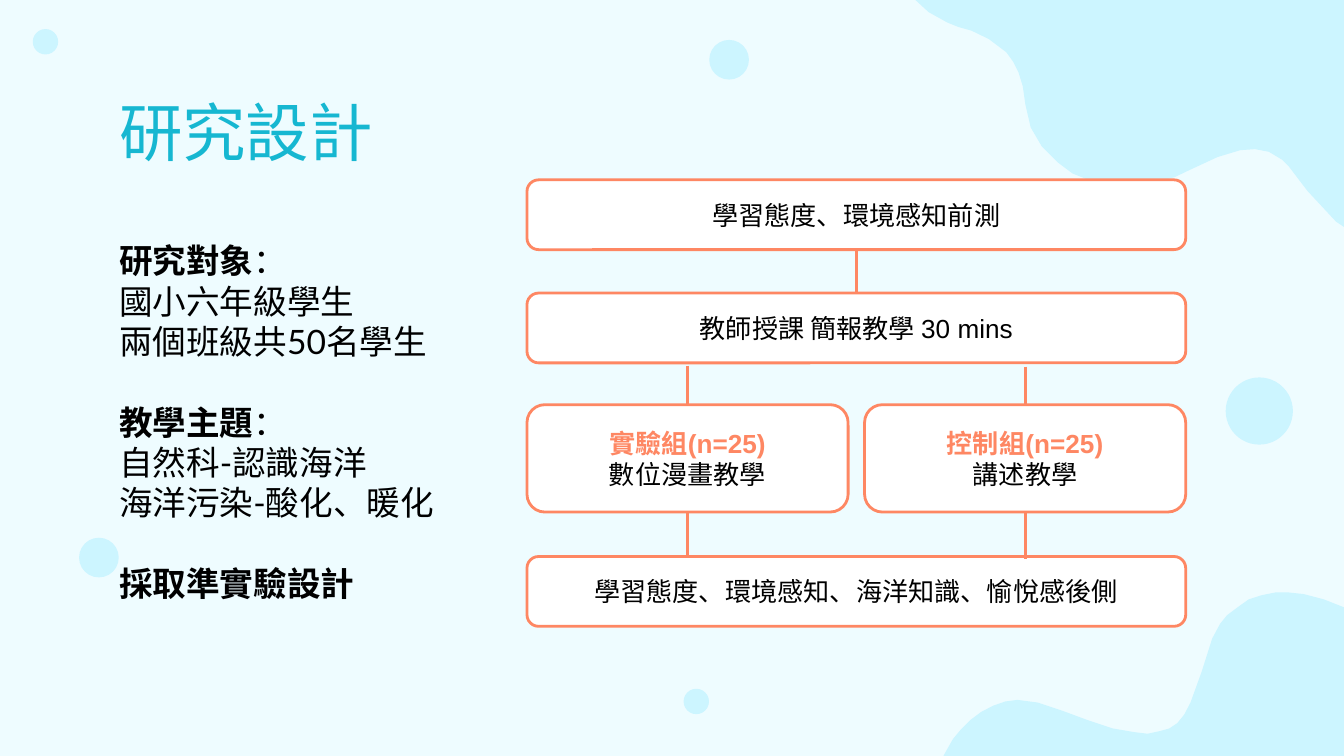
from dataclasses import dataclass

from lxml.etree import SubElement
from pptx import Presentation
from pptx.dml.color import RGBColor
from pptx.enum.shapes import MSO_CONNECTOR, MSO_SHAPE
from pptx.enum.text import MSO_ANCHOR, MSO_AUTO_SIZE, PP_ALIGN
from pptx.oxml.ns import qn
from pptx.shapes.autoshape import Shape
from pptx.slide import Slide
from pptx.text.text import TextFrame
from pptx.util import Cm, Pt

PALE_BLUE = RGBColor(0xEE, 0xFC, 0xFF)
WATER_BLUE = RGBColor(0xCC, 0xF5, 0xFF)
TITLE_BLUE = RGBColor(0x16, 0xB7, 0xD1)
CORAL = RGBColor(0xFE, 0x87, 0x63)
WHITE = RGBColor(0xFF, 0xFF, 0xFF)
BLACK = RGBColor(0x00, 0x00, 0x00)

SLIDE_WIDTH, SLIDE_HEIGHT = 25.4, 14.29
INSET = Cm(0.25)
OUTLINE = Pt(1.5)


@dataclass(frozen=True)
class Bubble:
    center_x: float
    center_y: float
    diameter: float


@dataclass(frozen=True)
class Step:
    left: float
    top: float
    width: float
    height: float
    text: str
    heading: str = ""


@dataclass(frozen=True)
class Link:
    x: float
    top: float
    bottom: float


@dataclass(frozen=True)
class Topic:
    heading: str
    lines: tuple[str, ...] = ()


# Outline points in hundredths of a centimetre
WAVES = (
    ((1730, 0), (1755, 23), (1791, 43), (1811, 51), (1836, 58), (1869, 74),
     (1902, 99), (1915, 117), (1925, 137), (1933, 163), (1938, 198), (1948, 241),
     (1969, 277), (1999, 307), (2027, 328), (2052, 338), (2090, 348), (2144, 351),
     (2182, 345), (2220, 335), (2245, 323), (2301, 297), (2344, 284), (2372, 282),
     (2398, 287), (2423, 302), (2436, 315), (2471, 361), (2525, 419), (2540, 429),
     (2540, 0)),
    ((1783, 1429), (1788, 1420), (1801, 1397), (1816, 1379), (1834, 1361),
     (1854, 1346), (1877, 1334), (1900, 1326), (1923, 1323), (1961, 1328),
     (2009, 1344), (2055, 1361), (2103, 1377), (2144, 1384), (2169, 1387),
     (2192, 1382), (2210, 1377), (2225, 1367), (2238, 1351), (2250, 1328),
     (2271, 1270), (2291, 1207), (2306, 1179), (2319, 1163), (2339, 1148),
     (2360, 1133), (2385, 1125), (2410, 1120), (2436, 1120), (2464, 1123),
     (2502, 1133), (2540, 1148), (2540, 1429)),
)

BUBBLES = (
    Bubble(23.8, 7.77, 1.27),
    Bubble(1.87, 10.54, 0.75),
    Bubble(13.78, 1.13, 0.75),
    Bubble(13.16, 13.26, 0.48),
    Bubble(0.86, 0.79, 0.48),
)

FLOW_LEFT, FLOW_WIDTH, STEP_HEIGHT = 9.96, 12.45, 1.32
GROUP_TOP, GROUP_WIDTH, GROUP_HEIGHT = 7.65, 6.07, 2.03
CONTROL_LEFT = FLOW_LEFT + FLOW_WIDTH - GROUP_WIDTH
FLOW_CENTER = FLOW_LEFT + FLOW_WIDTH / 2
EXPERIMENT_CENTER = FLOW_LEFT + GROUP_WIDTH / 2
CONTROL_CENTER = CONTROL_LEFT + GROUP_WIDTH / 2

STEPS = (
    Step(FLOW_LEFT, 3.4, FLOW_WIDTH, STEP_HEIGHT, "學習態度、環境感知前測"),
    Step(FLOW_LEFT, 5.54, FLOW_WIDTH, STEP_HEIGHT, "教師授課 簡報教學 30 mins"),
    Step(FLOW_LEFT, GROUP_TOP, GROUP_WIDTH, GROUP_HEIGHT, "數位漫畫教學", "實驗組(n=25)"),
    Step(CONTROL_LEFT, GROUP_TOP, GROUP_WIDTH, GROUP_HEIGHT, "講述教學", "控制組(n=25)"),
    Step(FLOW_LEFT, 10.52, FLOW_WIDTH, STEP_HEIGHT, "學習態度、環境感知、海洋知識、愉悅感後側"),
)

LINKS = (
    Link(FLOW_CENTER, 4.72, 5.54),
    Link(EXPERIMENT_CENTER, 6.91, GROUP_TOP),
    Link(CONTROL_CENTER, 6.93, GROUP_TOP),
    Link(EXPERIMENT_CENTER, 9.7, 10.54),
    Link(CONTROL_CENTER, 9.7, 10.57),
)

TOPICS = (
    Topic("研究對象：", ("國小六年級學生", "兩個班級共50名學生")),
    Topic("教學主題：", ("自然科-認識海洋", "海洋污染-酸化、暖化")),
    Topic("採取準實驗設計"),
)


def fill_plain(shape: Shape, color: RGBColor) -> None:
    shape.shadow.inherit = False
    shape.fill.solid()
    shape.fill.fore_color.rgb = color
    shape.line.fill.background()


def prepare_frame(frame: TextFrame, anchor: MSO_ANCHOR) -> None:
    frame.word_wrap = True
    frame.auto_size = MSO_AUTO_SIZE.NONE
    frame.vertical_anchor = anchor
    frame.margin_left = frame.margin_right = INSET
    frame.margin_top = frame.margin_bottom = INSET


def place(shape: Shape, left: float, top: float, width: float, height: float) -> None:
    shape.left, shape.top = Cm(left), Cm(top)
    shape.width, shape.height = Cm(width), Cm(height)


def draw_wave(slide: Slide, points: tuple[tuple[int, int], ...]) -> None:
    builder = slide.shapes.build_freeform(*points[0], scale=Cm(0.01))
    builder.add_line_segments(points[1:], close=True)
    fill_plain(builder.convert_to_shape(), WATER_BLUE)


def draw_bubble(slide: Slide, bubble: Bubble) -> None:
    radius, size = bubble.diameter / 2, Cm(bubble.diameter)
    shape = slide.shapes.add_shape(
        MSO_SHAPE.OVAL, Cm(bubble.center_x - radius), Cm(bubble.center_y - radius), size, size)
    fill_plain(shape, WATER_BLUE)


def draw_step(slide: Slide, step: Step) -> None:
    shape = slide.shapes.add_shape(
        MSO_SHAPE.ROUNDED_RECTANGLE,
        Cm(step.left), Cm(step.top), Cm(step.width), Cm(step.height))
    fill_plain(shape, WHITE)
    shape.line.color.rgb = CORAL
    shape.line.width = OUTLINE
    frame = shape.text_frame
    prepare_frame(frame, MSO_ANCHOR.MIDDLE)
    frame.text = f"{step.heading}\n{step.text}" if step.heading else step.text
    for paragraph in frame.paragraphs:
        is_heading = paragraph.text == step.heading
        paragraph.alignment = PP_ALIGN.CENTER
        paragraph.font.name = "Arial"
        paragraph.font.size = Pt(14)
        paragraph.font.bold = is_heading
        paragraph.font.color.rgb = CORAL if is_heading else BLACK


def draw_link(slide: Slide, link: Link) -> None:
    connector = slide.shapes.add_connector(
        MSO_CONNECTOR.STRAIGHT, Cm(link.x), Cm(link.top), Cm(link.x), Cm(link.bottom))
    connector.line.color.rgb = CORAL
    connector.line.width = OUTLINE
    SubElement(connector._element.spPr, qn("a:effectLst"))


def write_title(title: Shape) -> None:
    place(title, 2, 1.5, 23.4, 1.6)
    prepare_frame(title.text_frame, MSO_ANCHOR.TOP)
    title.text_frame.text = "研究設計"
    paragraph = title.text_frame.paragraphs[0]
    paragraph.alignment = PP_ALIGN.LEFT
    paragraph.font.name = "Quicksand"
    paragraph.font.size = Pt(34)
    paragraph.font.color.rgb = TITLE_BLUE


def write_topics(body: Shape) -> None:
    place(body, 2, 4.29, 6.73, 7.87)
    frame = body.text_frame
    prepare_frame(frame, MSO_ANCHOR.TOP)
    frame.text = "\n".join(line for topic in TOPICS for line in (topic.heading, *topic.lines))
    headings = [topic.heading for topic in TOPICS]
    for paragraph in frame.paragraphs:
        properties = paragraph._p.get_or_add_pPr()
        properties.set("marL", "0")
        properties.set("indent", "0")
        is_heading = paragraph.text in headings
        starts_new_topic = paragraph.text in headings[1:]
        paragraph.space_before = Pt(21.6 if starts_new_topic else 0)
        SubElement(properties, qn("a:buNone"))
        paragraph.font.name = "Lato"
        paragraph.font.size = Pt(18)
        paragraph.font.color.rgb = BLACK
        if is_heading:
            label = paragraph.runs[0]
            label.font.bold = True
            if label.text.endswith("："):
                label.text = label.text[:-1]
                paragraph.add_run().text = "："


def main() -> None:
    presentation = Presentation()
    presentation.slide_width = Cm(SLIDE_WIDTH)
    presentation.slide_height = Cm(SLIDE_HEIGHT)
    slide = presentation.slides.add_slide(presentation.slide_layouts[1])
    slide.background.fill.solid()
    slide.background.fill.fore_color.rgb = PALE_BLUE
    for wave in WAVES:
        draw_wave(slide, wave)
    for bubble in BUBBLES:
        draw_bubble(slide, bubble)
    write_title(slide.shapes.title)
    write_topics(slide.placeholders[1])
    for step in STEPS:
        draw_step(slide, step)
    for link in LINKS:
        draw_link(slide, link)
    presentation.save("out.pptx")


if __name__ == "__main__":
    main()
